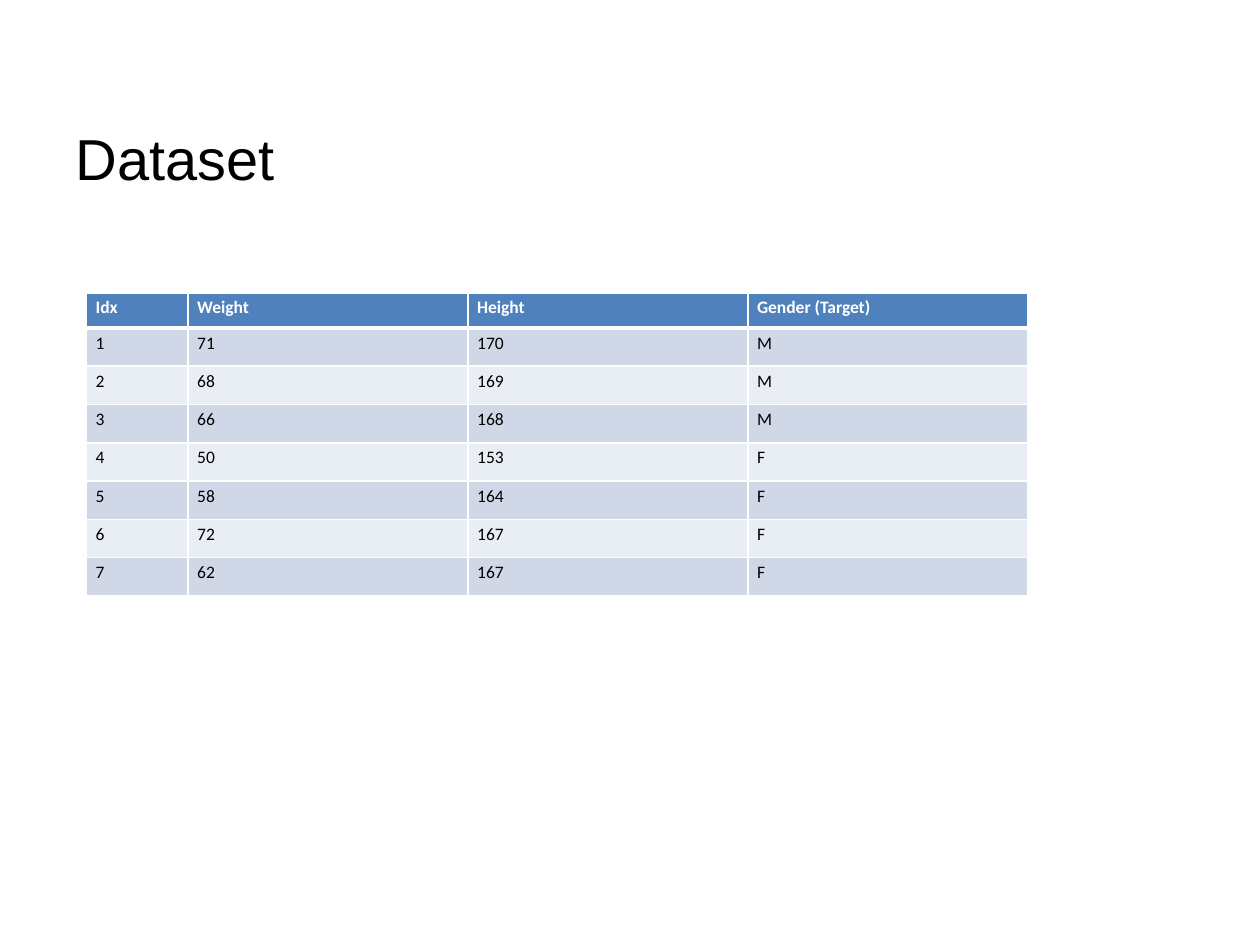
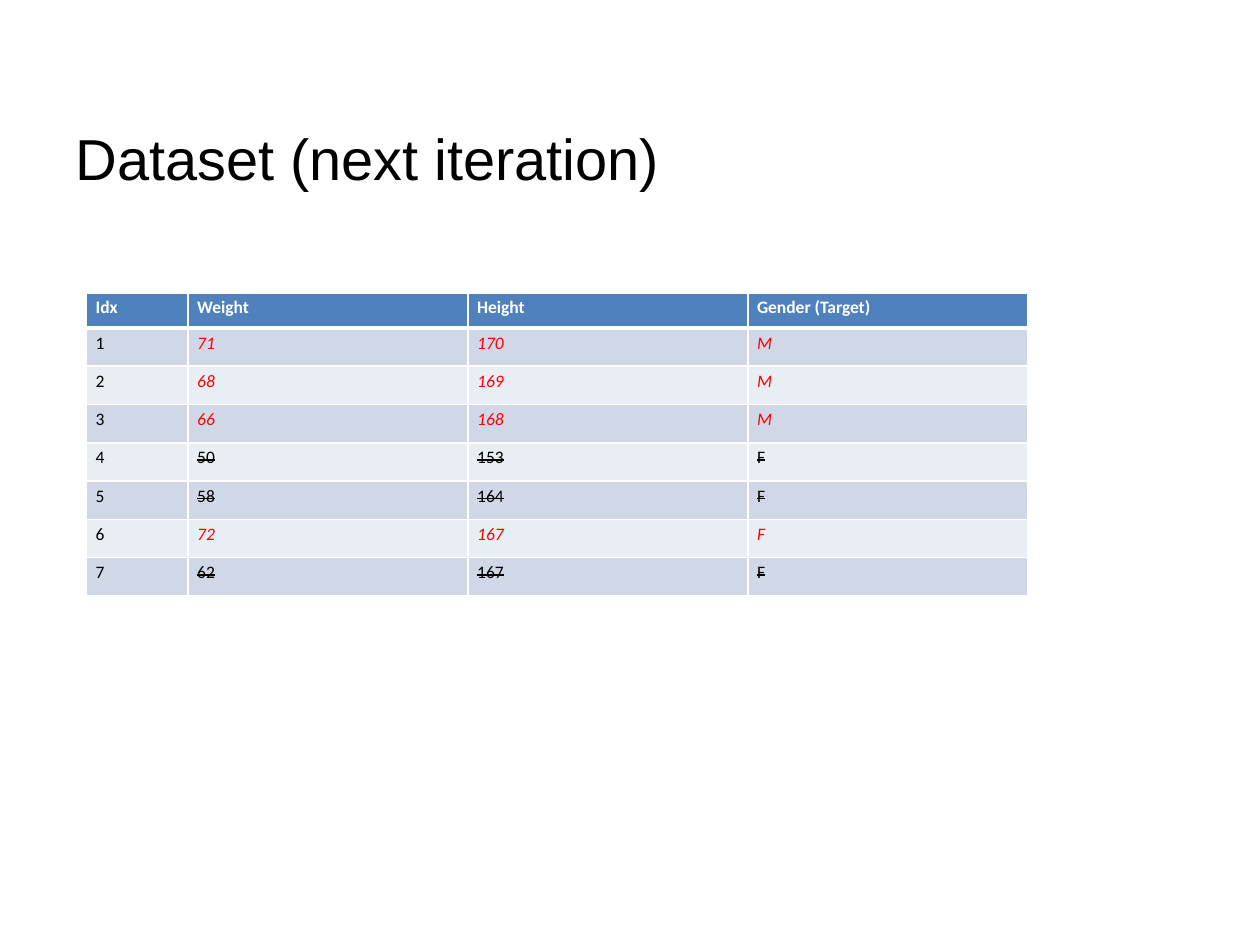
from lxml import etree
from pptx import Presentation
from pptx.dml.color import RGBColor
from pptx.enum import text
from pptx.oxml import ns
from pptx.util import Pt

COLORS = {
    "paper": "FFFFFF",
    "ink": "000000",
    "header": "4F81BD",
    "odd_row": "D0D8E8",
    "even_row": "E9EDF4",
    "misclassified": "FF0000",
}
TITLE_FONT, TABLE_FONT = "Arial", "Calibri"
TITLE_BOX = (36, 45, 648, 90)
TABLE_LEFT, TABLE_TOP = 49.5, 167.3
IDX_WIDTH, VALUE_WIDTH = 58, 160
HEADER_HEIGHT, ROW_HEIGHT = 20.1, 21.9
THIN, THICK = 1, 3

HEADINGS = ("Weight", "Height", "Gender (Target)")
PEOPLE = [
    (71, 170, "M"),
    (68, 169, "M"),
    (66, 168, "M"),
    (50, 153, "F"),
    (58, 164, "F"),
    (72, 167, "F"),
    (62, 167, "F"),
]
KEPT = {1, 2, 3, 6}  # rows carried into the next iteration


def rgb(name):
    return RGBColor.from_string(COLORS[name])


def add_run(p, words, font, size, color):
    r = p.add_run()
    r.text = str(words)
    r.font.name, r.font.size = font, Pt(size)
    r.font.color.rgb = rgb(color)
    return r


def add_title(slide, words, box):
    tf = slide.shapes.add_textbox(*map(Pt, box)).text_frame
    tf.word_wrap = True
    tf.vertical_anchor = text.MSO_ANCHOR.MIDDLE
    add_run(tf.paragraphs[0], words, TITLE_FONT, 33, "ink")


def set_borders(cell, top, bottom):
    tc_pr = cell._tc.get_or_add_tcPr()
    for side, width in (("L", THIN), ("R", THIN), ("T", top), ("B", bottom)):
        ln = etree.SubElement(tc_pr, ns.qn(f"a:ln{side}"), w=str(Pt(width)))
        fill = etree.SubElement(ln, ns.qn("a:solidFill"))
        etree.SubElement(fill, ns.qn("a:srgbClr"), val=COLORS["paper"])


def style_cell(cell, row):
    """Set the margins, borders and banded fill of a cell in the given row."""
    cell.margin_left = cell.margin_right = Pt(5.2)
    cell.margin_top = cell.margin_bottom = Pt(2.6)
    set_borders(cell, THICK if row == 1 else THIN, THICK if row == 0 else THIN)
    cell.fill.solid()
    band = "header" if row == 0 else "odd_row" if row % 2 else "even_row"
    cell.fill.fore_color.rgb = rgb(band)


def add_data_table(slide, left, top, col_width, rows, marked=False):
    """Add a table; when marked, kept rows turn red and the rest are struck out."""
    width = col_width * len(rows[0])
    height = HEADER_HEIGHT + ROW_HEIGHT * (len(rows) - 1)
    table = slide.shapes.add_table(len(rows), len(rows[0]), Pt(left), Pt(top),
                                   Pt(width), Pt(height)).table
    for column in table.columns:
        column.width = Pt(col_width)
    for i, values in enumerate(rows):
        table.rows[i].height = Pt(ROW_HEIGHT if i else HEADER_HEIGHT)
        red = marked and i in KEPT
        color = "paper" if i == 0 else "misclassified" if red else "ink"
        for j, value in enumerate(values):
            cell = table.cell(i, j)
            style_cell(cell, i)
            r = add_run(cell.text_frame.paragraphs[0], value, TABLE_FONT, 10, color)
            r.font.bold = i == 0
            r.font.italic = red
            if marked and i and not red:
                r._r.get_or_add_rPr().set("strike", "sngStrike")


def add_dataset_slide(prs, title, marked=False):
    slide = prs.slides.add_slide(prs.slide_layouts[6])
    add_title(slide, title, TITLE_BOX)
    add_data_table(slide, TABLE_LEFT + IDX_WIDTH, TABLE_TOP, VALUE_WIDTH,
                   [HEADINGS, *PEOPLE], marked)
    indexes = [(n,) for n in range(1, len(PEOPLE) + 1)]
    add_data_table(slide, TABLE_LEFT, TABLE_TOP, IDX_WIDTH, [("Idx",), *indexes])


def main():
    prs = Presentation()
    prs.slide_width, prs.slide_height = Pt(720), Pt(540)
    add_dataset_slide(prs, "Dataset")
    add_dataset_slide(prs, "Dataset (next iteration)", marked=True)
    prs.save("out.pptx")


if __name__ == "__main__":
    main()
